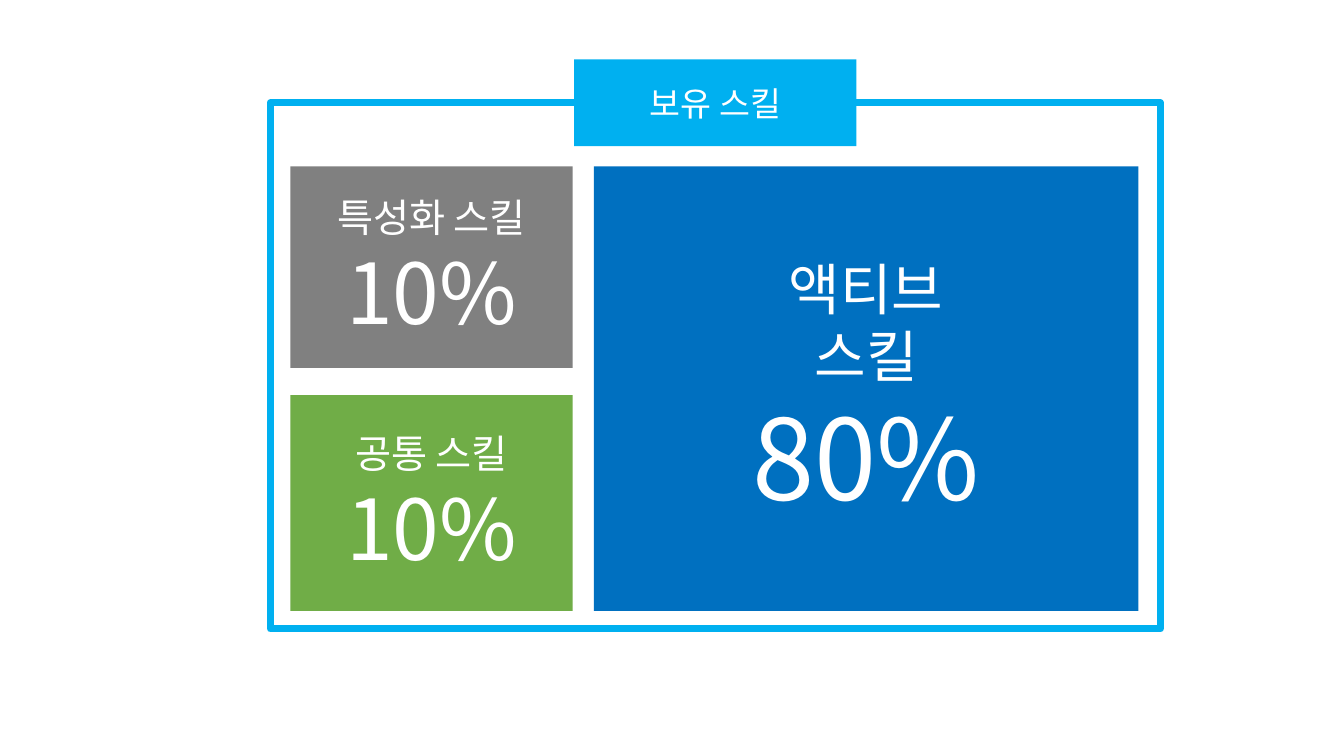
from dataclasses import dataclass

from lxml import etree
from pptx import Presentation
from pptx.dml.color import RGBColor
from pptx.enum.shapes import MSO_SHAPE
from pptx.enum.text import MSO_ANCHOR, PP_ALIGN
from pptx.oxml.ns import qn
from pptx.util import Inches, Pt

RECT = MSO_SHAPE.RECTANGLE
MIDDLE = MSO_ANCHOR.MIDDLE
CENTER = PP_ALIGN.CENTER


@dataclass(frozen=True)
class Theme:
    """Colours, font and type sizes of the slide."""
    font: str = "Noto Sans CJK KR"
    text: str = "FFFFFF"
    frame: str = "00B0F0"
    special: str = "808080"
    common: str = "70AD47"
    active: str = "0070C0"
    frame_width: int = 5
    heading: int = 24
    label: int = 28
    value: int = 60
    big_label: int = 40
    big_value: int = 80


THEME = Theme()


def add_rect(s, box):
    """Add a rectangle without shadow, fill or line."""
    sp = s.shapes.add_shape(RECT, *(Inches(v) for v in box))
    sp.shadow.inherit = False
    sp.fill.background()
    sp.line.fill.background()
    return sp


def add_tile(s, box, color, lines):
    """Add a filled tile with centred (text, size) lines."""
    sp = add_rect(s, box)
    sp.fill.solid()
    sp.fill.fore_color.rgb = RGBColor.from_string(color)
    tf = sp.text_frame
    tf.word_wrap = True
    tf.vertical_anchor = MIDDLE
    for i, (text, size) in enumerate(lines):
        p = tf.paragraphs[0] if i == 0 else tf.add_paragraph()
        p.text = text
        p.alignment = CENTER
        font = p.font
        font.size = Pt(size)
        font.name = THEME.font
        font.color.rgb = RGBColor.from_string(THEME.text)
        props = p._p.pPr.find(qn("a:defRPr"))
        etree.SubElement(props, qn("a:ea"), typeface=THEME.font)


def add_frame(s, box):
    """Outline the box and centre its heading on the top edge."""
    left, top, width, height = box
    sp = add_rect(s, box)
    sp.line.color.rgb = RGBColor.from_string(THEME.frame)
    sp.line.width = Pt(THEME.frame_width)
    tab_w, tab_h = 2.8, 0.86
    tab = (left + (width - tab_w) / 2, top - tab_h / 2, tab_w, tab_h)
    add_tile(s, tab, THEME.frame, [("보유 스킬", THEME.heading)])


def add_skills(s, box):
    """Fill the box with two stacked tiles and one large tile."""
    left, top, width, height = box
    side_w, special_h, gap_x, gap_y = 2.8, 2, 0.21, 0.27
    common_y = special_h + gap_y
    active_x = side_w + gap_x
    add_tile(s, (left, top, side_w, special_h), THEME.special,
             [("특성화 스킬", THEME.label), ("10%", THEME.value)])
    add_tile(s, (left, top + common_y, side_w, height - common_y), THEME.common,
             [("공통 스킬", THEME.label), ("10%", THEME.value)])
    add_tile(s, (left + active_x, top, width - active_x, height), THEME.active,
             [("액티브", THEME.big_label), ("스킬", THEME.big_label),
              ("80%", THEME.big_value)])


def main():
    """Build and save the skills slide."""
    prs = Presentation()
    prs.slide_width, prs.slide_height = Inches(13.33), Inches(7.5)
    s = prs.slides.add_slide(prs.slide_layouts[6])
    add_frame(s, (2.68, 1.02, 8.83, 5.22))
    add_skills(s, (2.88, 1.65, 8.41, 4.41))
    prs.save("out.pptx")


if __name__ == "__main__":
    main()
